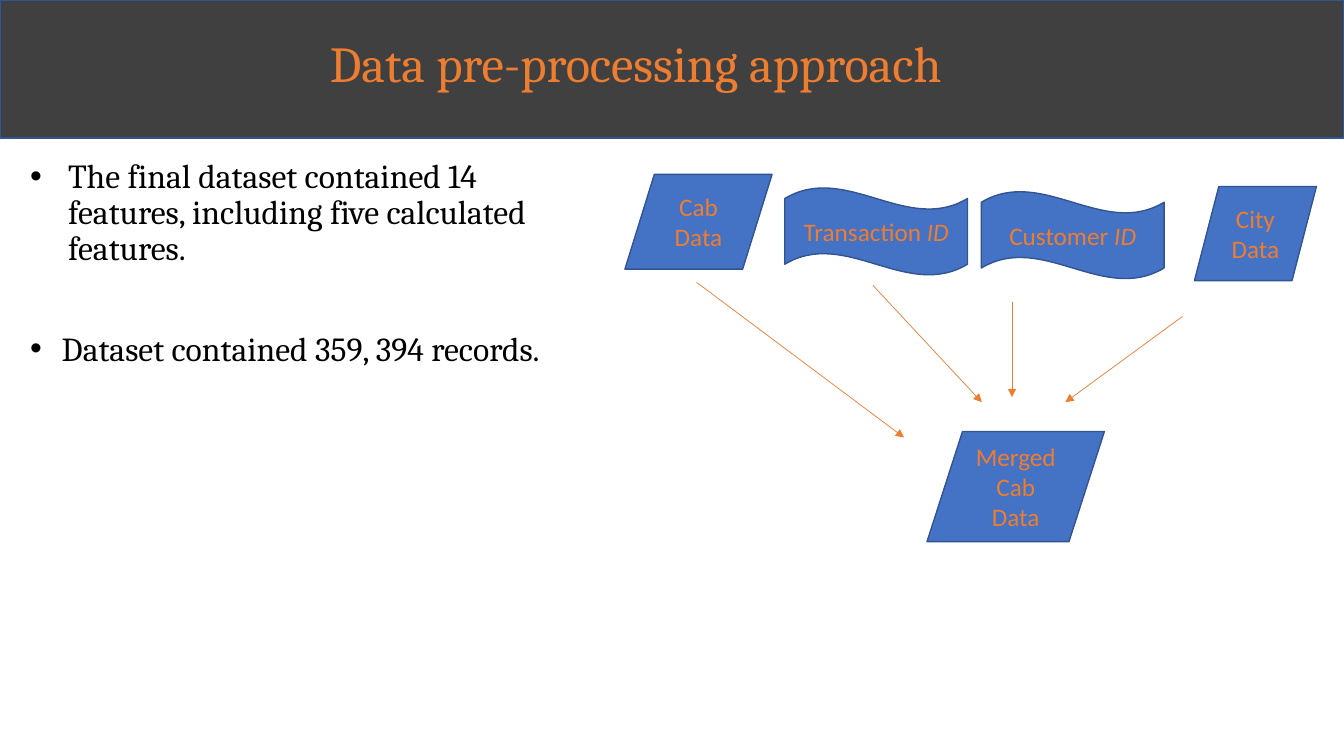
from lxml.etree import SubElement
from pptx import Presentation
from pptx.dml.color import RGBColor
from pptx.enum.shapes import MSO_CONNECTOR as Connector, MSO_SHAPE as Shape
from pptx.enum.text import MSO_ANCHOR as Anchor, MSO_AUTO_SIZE as AutoSize, PP_ALIGN as Align
from pptx.oxml.ns import qn
from pptx.util import Pt

ORANGE, BLUE, EDGE, CHARCOAL, BLACK = "ED7D31", "4472C4", "325491", "404040", "000000"

HEADING = "Data pre-processing approach"
FINDINGS = [
    ("The final dataset contained 14 features, including five calculated features.", 27, 10),
    ("Dataset contained 359, 394 records.", 22.5, 45.7),
]
DATASETS = [
    (Shape.FLOWCHART_DATA, (446.4, 124.6, 105.1, 67.7), "Cab Data", ""),
    (Shape.FLOWCHART_DATA, (853.2, 133.2, 87.1, 67.2), "City Data", ""),
    (Shape.FLOWCHART_DATA, (662.2, 308.2, 126.7, 78.7), "Merged Cab Data", ""),
    (Shape.WAVE, (560.6, 134, 130.5, 62.6), "Transaction ", "ID"),
    (Shape.WAVE, (701, 136.7, 130.5, 62.6), "Customer ", "ID"),
]
MERGE_ARROWS = [
    (497.5, 201.6, 645.8, 312.5),
    (623.5, 203.8, 701.3, 287.3),
    (722.9, 216, 722.9, 283.7),
    (844.6, 226.1, 761, 287.3),
]

HEADING_FONT = {"name": "Cambria", "size": Pt(36)}
FINDING_FONT = {"name": "Cambria", "size": Pt(24)}
DATASET_FONT = {"name": "Calibri", "size": Pt(18)}
HEADING_FRAME = {"margin_left": Pt(223.5), "margin_top": Pt(3.6), "margin_bottom": Pt(3.6),
                 "vertical_anchor": Anchor.TOP, "auto_size": AutoSize.NONE, "word_wrap": True}
FINDINGS_FRAME = {"auto_size": AutoSize.NONE, "word_wrap": True}


def rgb(code):
    return RGBColor.from_string(code)


def apply(target, values):
    for key, value in values.items():
        setattr(target, key, value)


def place(part, left, top, width, height):
    apply(part, {"left": Pt(left), "top": Pt(top), "width": Pt(width), "height": Pt(height)})


def write(paragraph, words, font, color, italic=False):
    run = paragraph.add_run()
    run.text = words
    apply(run.font, {**font, "italic": italic})
    run.font.color.rgb = rgb(color)


def add_block(slide, kind, box, fill):
    block = slide.shapes.add_shape(kind, *map(Pt, box))
    block.shadow.inherit = False
    block.fill.solid()
    block.fill.fore_color.rgb = rgb(fill)
    block.line.color.rgb = rgb(EDGE)
    block.line.width = Pt(1)
    return block


def add_heading(slide):
    heading = slide.shapes.title
    banner = add_block(slide, Shape.RECTANGLE, (0, 0, 960, 98.6), CHARCOAL)
    heading._element.addprevious(banner._element)
    place(heading, 12.2, 19.4, 933.1, 51.1)
    apply(heading.text_frame, HEADING_FRAME)
    paragraph = heading.text_frame.paragraphs[0]
    paragraph.alignment = Align.LEFT
    write(paragraph, HEADING, HEADING_FONT, ORANGE)


def add_findings(slide):
    findings = slide.placeholders[1]
    place(findings, 14.4, 110.2, 383.8, 391.7)
    frame = findings.text_frame
    apply(frame, FINDINGS_FRAME)
    for index, (words, indent, gap) in enumerate(FINDINGS):
        paragraph = frame.add_paragraph() if index else frame.paragraphs[0]
        apply(paragraph, {"line_spacing": 0.9, "space_before": Pt(gap)})
        properties = paragraph._p.get_or_add_pPr()
        properties.set("marL", str(Pt(indent)))
        properties.set("indent", str(-Pt(indent)))
        write(paragraph, words, FINDING_FONT, BLACK)


def add_dataset(slide, kind, box, label, suffix):
    dataset = add_block(slide, kind, box, BLUE)
    dataset.text_frame.vertical_anchor = Anchor.MIDDLE
    paragraph = dataset.text_frame.paragraphs[0]
    paragraph.alignment = Align.CENTER
    write(paragraph, label, DATASET_FONT, ORANGE)
    if suffix:
        write(paragraph, suffix, DATASET_FONT, ORANGE, italic=True)


def add_arrow(slide, ends):
    arrow = slide.shapes.add_connector(Connector.STRAIGHT, *map(Pt, ends))
    arrow.line.color.rgb = rgb(ORANGE)
    arrow.line.width = Pt(0.5)
    SubElement(arrow.line._get_or_add_ln(), qn("a:tailEnd"), type="triangle")
    SubElement(arrow._element.spPr, qn("a:effectLst"))


def main():
    deck = Presentation()
    apply(deck, {"slide_width": Pt(960), "slide_height": Pt(540)})
    slide = deck.slides.add_slide(deck.slide_layouts[1])
    add_heading(slide)
    add_findings(slide)
    for dataset in DATASETS:
        add_dataset(slide, *dataset)
    for ends in MERGE_ARROWS:
        add_arrow(slide, ends)
    deck.save("out.pptx")


if __name__ == "__main__":
    main()
